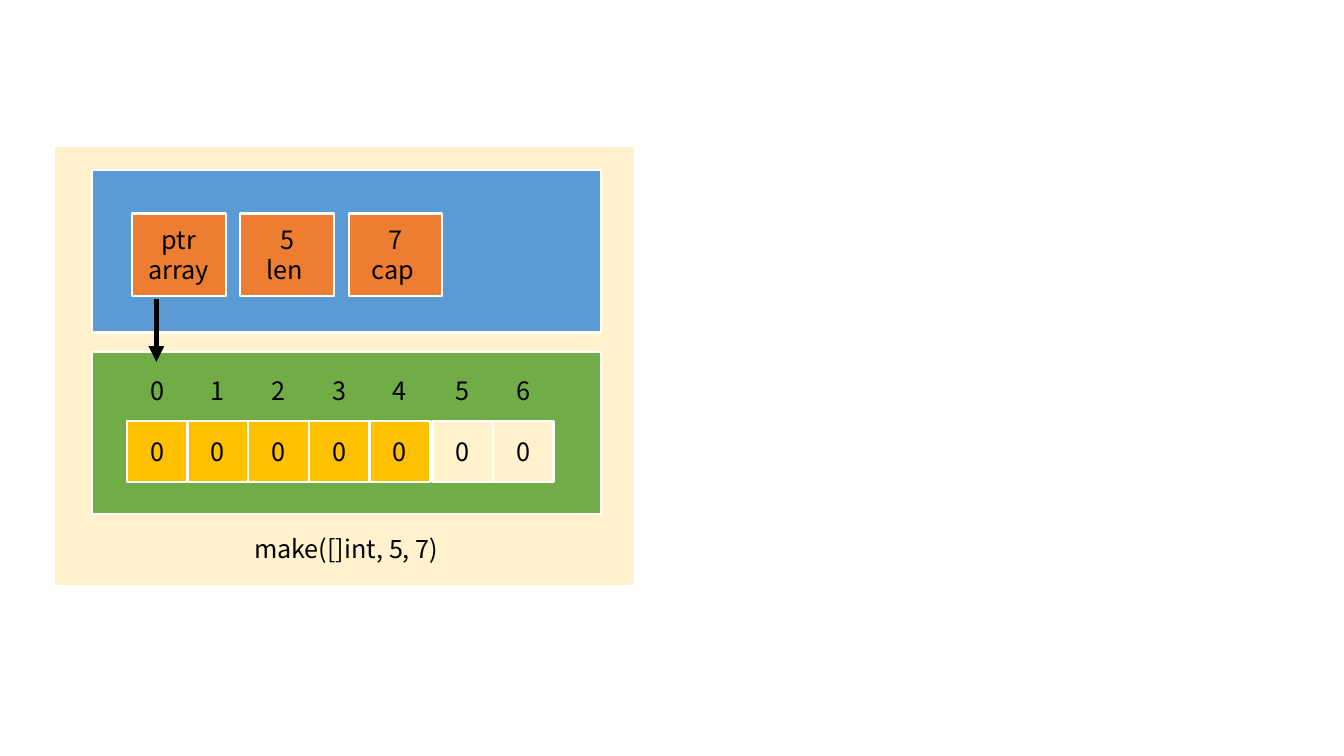
from lxml import etree
from pptx import Presentation
from pptx import util as u
from pptx.dml.color import RGBColor
from pptx.enum import shapes, text
from pptx.oxml import ns

WHITE = RGBColor(0xFF, 0xFF, 0xFF)
BLACK = RGBColor(0, 0, 0)
CREAM = RGBColor(0xFF, 0xF2, 0xCC)
GREEN = RGBColor(0x70, 0xAD, 0x47)
GOLD = RGBColor(0xFF, 0xC0, 0x00)
BLUE = RGBColor(0x5B, 0x9B, 0xD5)
ORANGE = RGBColor(0xED, 0x7D, 0x31)
FONT = "Noto Sans CJK SC"

SIDE = 1.52   # cell width and height, cm
STEP = 1.53   # distance between cells
INNER = 12.83  # width of the two inner boxes
TALL = 4.09   # height of the two inner boxes


def write(shape, words):
    frame = shape.text_frame
    frame.word_wrap = True
    frame.vertical_anchor = text.MSO_ANCHOR.MIDDLE
    frame.text = words
    for line in frame.paragraphs:
        line.alignment = text.PP_ALIGN.CENTER
        for run in line.runs:
            run.font.size = u.Pt(18)
            run.font.name = FONT
            run.font.color.rgb = BLACK


def block(slide, x, y, w, h, fill, words=""):
    rect = slide.shapes.add_shape(
        shapes.MSO_SHAPE.RECTANGLE, u.Cm(x), u.Cm(y), u.Cm(w), u.Cm(h))
    rect.shadow.inherit = False
    rect.fill.solid()
    rect.fill.fore_color.rgb = fill
    rect.line.color.rgb = WHITE
    rect.line.width = u.Pt(1.5)
    if words:
        write(rect, words)


def label(slide, x, y, w, h, words):
    box = slide.shapes.add_textbox(u.Cm(x), u.Cm(y), u.Cm(w), u.Cm(h))
    write(box, words)


def arrow(slide, x, top, end):
    line = slide.shapes.add_connector(
        shapes.MSO_CONNECTOR.STRAIGHT, u.Cm(x), u.Cm(top), u.Cm(x), u.Cm(end))
    line.line.color.rgb = BLACK
    line.line.width = u.Pt(3.75)
    etree.SubElement(line.line._get_or_add_ln(), ns.qn("a:tailEnd"), type="triangle")
    etree.SubElement(line._element.spPr, ns.qn("a:effectLst"))


# Slice header: pointer, length and capacity
def header(slide, x, y, w, h):
    block(slide, x, y, w, h, BLUE)
    for i, words in enumerate(["ptr\narray", "5\nlen ", "7\ncap "]):
        block(slide, x + 1.02 + i * 2.73, y + 1.09, 2.36, 2.08, ORANGE, words)


# Backing array: used cells, then spare ones set slightly apart
def array(slide, x, y, w, h, size, room):
    block(slide, x, y, w, h, GREEN)
    for i in range(room):
        used = i < size
        left = x + 0.89 + i * STEP + (0 if used else 0.05)
        block(slide, left, y + 1.76, SIDE, SIDE, GOLD if used else CREAM, "0")
        label(slide, left, y + 0.23, SIDE, SIDE, str(i))


# Whole panel with its caption
def panel(slide, x, y, w, h):
    block(slide, x, y, w, h, CREAM)
    left = x + 0.96
    header(slide, left, y + 0.61, INNER, TALL)
    array(slide, left, y + 5.18, INNER, TALL, 5, 7)
    arrow(slide, left + 1.63, y + 3.86, y + 5.44)
    label(slide, left, y + 9.38, INNER, SIDE, "make([]int, 5, 7)")


deck = Presentation()
deck.slide_width = u.Cm(33.87)
deck.slide_height = u.Cm(19.05)
page = deck.slides.add_slide(deck.slide_layouts[6])
panel(page, 1.35, 3.68, 14.66, 11.1)
deck.save("out.pptx")
